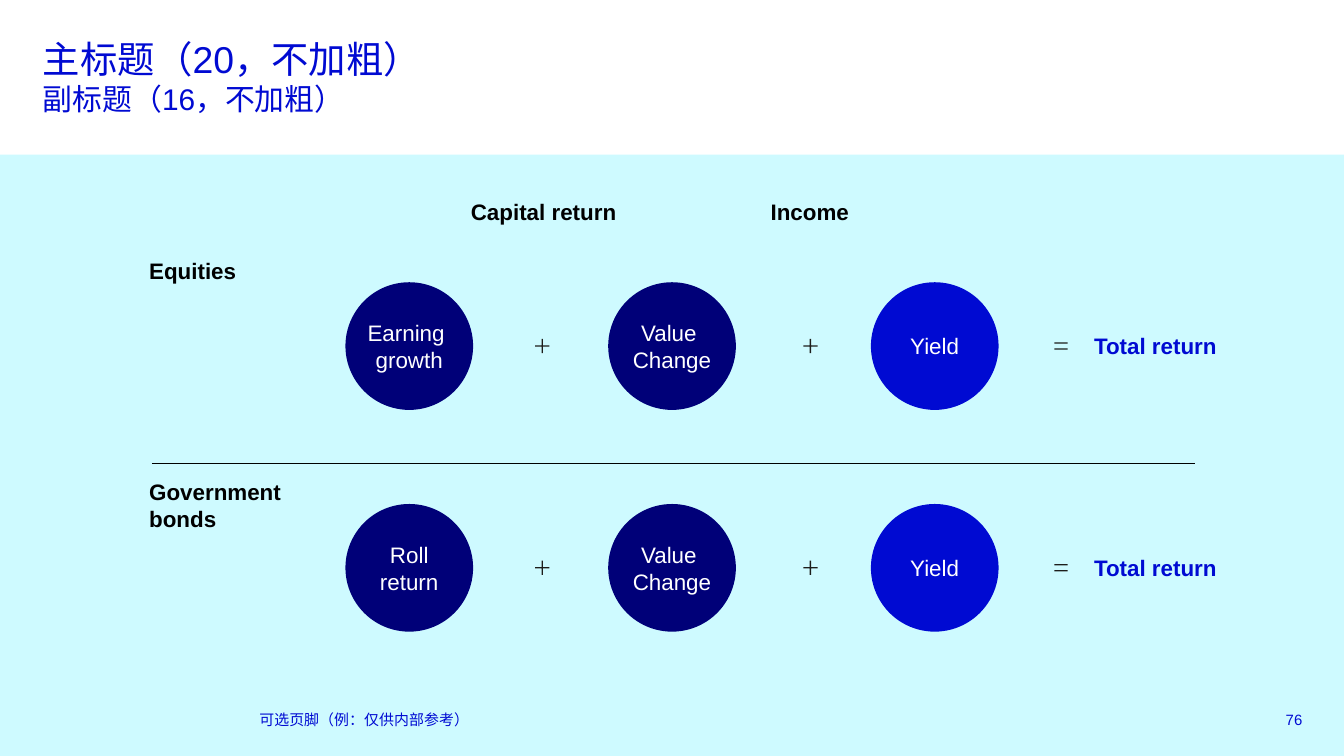
from dataclasses import dataclass
from lxml import etree
from pptx import Presentation
from pptx.dml.color import RGBColor
from pptx.enum.shapes import MSO_CONNECTOR, MSO_SHAPE
from pptx.enum.text import MSO_ANCHOR, PP_ALIGN
from pptx.oxml.ns import qn
from pptx.util import Inches, Pt

OVAL, RECT = MSO_SHAPE.OVAL, MSO_SHAPE.RECTANGLE
LINE = MSO_CONNECTOR.STRAIGHT
TOP, MIDDLE = MSO_ANCHOR.TOP, MSO_ANCHOR.MIDDLE
LEFT, CENTER, RIGHT = PP_ALIGN.LEFT, PP_ALIGN.CENTER, PP_ALIGN.RIGHT

# Slide size in inches, 16 by 9; the grid unit is a hundredth of the width
WIDE = 10
HIGH = WIDE * 9 / 16
UNIT = Inches(WIDE / 100)


@dataclass(frozen=True)
class Theme:
    font: str = "Arial"
    blue: str = "000AD2"
    navy: str = "000078"
    aqua: str = "5FF0FF"
    ink: str = "1D1D1B"
    black: str = "000000"
    white: str = "FFFFFF"
    title: int = 20
    sub: int = 16
    body: int = 12
    foot: int = 8


T = Theme()


def grid(*vals):
    return [round(v * UNIT) for v in vals]


def style(run, size, color, bold):
    run.font.name = T.font
    run.font.size = Pt(size)
    run.font.bold = bold
    run.font.color.rgb = RGBColor.from_string(color)


def write(shape, text, size=T.body, color=T.black, bold=False,
          align=LEFT, anchor=TOP, sub=None):
    """Fill a shape with text; each line is a paragraph, sub a smaller line."""
    frame = shape.text_frame
    frame.word_wrap = True
    frame.vertical_anchor = anchor
    frame.margin_left = frame.margin_right = 0
    frame.margin_top = frame.margin_bottom = 0
    for i, line in enumerate(text.split("\n")):
        para = frame.add_paragraph() if i else frame.paragraphs[0]
        para.alignment = align
        run = para.add_run()
        run.text = line
        style(run, size, color, bold)
    if sub:
        para.add_line_break()
        run = para.add_run()
        run.text = sub
        style(run, T.sub, color, bold)


def label(slide, box, text, **form):
    write(slide.shapes.add_textbox(*grid(*box)), text, **form)


def paint(shape, color):
    shape.shadow.inherit = False
    shape.fill.solid()
    shape.fill.fore_color.rgb = RGBColor.from_string(color)
    shape.line.fill.background()


def panel(slide, box):
    shape = slide.shapes.add_shape(RECT, *grid(*box))
    paint(shape, T.aqua)
    tint = shape._element.spPr.find(".//" + qn("a:srgbClr"))
    etree.SubElement(tint, qn("a:alpha"), val="30000")


def outline(slide, *loops):
    """Draw closed loops of grid points as one filled sign."""
    pen = slide.shapes.build_freeform(*grid(*loops[0][0]), scale=1.0)
    for i, loop in enumerate(loops):
        if i:
            pen.move_to(*grid(*loop[0]))
        pen.add_line_segments([grid(*p) for p in loop[1:]], close=True)
    paint(pen.convert_to_shape(), T.ink)


def plus(slide, x, y, arm=0.53, half=0.05):
    """Plus sign centred on x, y."""
    a, h = arm, half
    turns = [(-h, -a), (h, -a), (h, -h), (a, -h), (a, h), (h, h),
             (h, a), (-h, a), (-h, h), (-a, h), (-a, -h), (-h, -h)]
    outline(slide, [(x + dx, y + dy) for dx, dy in turns])


def equal(slide, x, y, arm=0.5, gap=0.45, bar=0.1):
    """Equals sign centred on x, y."""
    outline(slide, *[
        [(x - arm, t), (x + arm, t), (x + arm, t + bar), (x - arm, t + bar)]
        for t in (y - gap / 2 - bar / 2, y + gap / 2 - bar / 2)])


def head(slide, box):
    label(slide, box, "主标题（20，不加粗）", size=T.title,
          color=T.blue, sub="副标题（16，不加粗）")


def row(slide, box, name, parts):
    """One sum: name, three circles with signs between, and the total."""
    x, y, wide, _ = box
    label(slide, (x, y, 10.1, 4), name, bold=True)
    size, step, first = 9.5, 19.55, x + 14.6
    mid = y + 1.9 + size / 2
    for i, part in enumerate(parts):
        spot = (first + i * step, mid - size / 2, size, size)
        ball = slide.shapes.add_shape(OVAL, *grid(*spot))
        paint(ball, T.blue if i == 2 else T.navy)
        write(ball, part, color=T.white, align=CENTER, anchor=MIDDLE)
    for i in range(2):
        plus(slide, x + 29.25 + i * 19.95, mid)
    equal(slide, x + 67.85, mid)
    label(slide, (x + wide - 12.2, mid - 1, 12.2, 2), "Total return",
          color=T.blue, bold=True)


def rule(slide, box):
    x, y, wide, high = box
    line = slide.shapes.add_connector(
        LINE, *grid(x, y, x + wide, y + high))
    line.line.color.rgb = RGBColor.from_string(T.black)
    line.line.width = Pt(0.5)
    etree.SubElement(line._element.spPr, qn("a:effectLst"))


def chart(slide, box):
    """Column heads, two sums and the rule between them."""
    x, y, wide, _ = box
    for dx, name in ((23.25, "Capital return"), (43.05, "Income")):
        label(slide, (x + dx, y, 12.2, 2), name, bold=True, align=CENTER)
    rows = (("Equities", ("Earning \ngrowth", "Value \nChange", "Yield")),
            ("Government\nbonds", ("Roll return", "Value \nChange", "Yield")))
    for i, (name, parts) in enumerate(rows):
        row(slide, (x, y + 4.35 + i * 16.5, wide, 11.4), name, parts)
    rule(slide, (x + 0.2, y + 19.75, 77.6, 0))


def foot(slide, box):
    x, y, wide, high = box
    form = dict(size=T.foot, color=T.blue, anchor=MIDDLE)
    label(slide, (x, y, 64.6, high), "可选页脚（例：仅供内部参考）", **form)
    label(slide, (x + wide - 3.9, y, 3.9, high), "76", align=RIGHT, **form)


def main():
    deck = Presentation()
    deck.slide_width, deck.slide_height = Inches(WIDE), Inches(HIGH)
    slide = deck.slides.add_slide(deck.slide_layouts[6])
    panel(slide, (0, 11.5, 100, 44.75))
    head(slide, (3.2, 2.7, 93.7, 4.1))
    chart(slide, (11.1, 14.75, 82.5, 32.25))
    foot(slide, (19.3, 52.8, 77.6, 1.5))
    deck.save("out.pptx")


if __name__ == "__main__":
    main()
